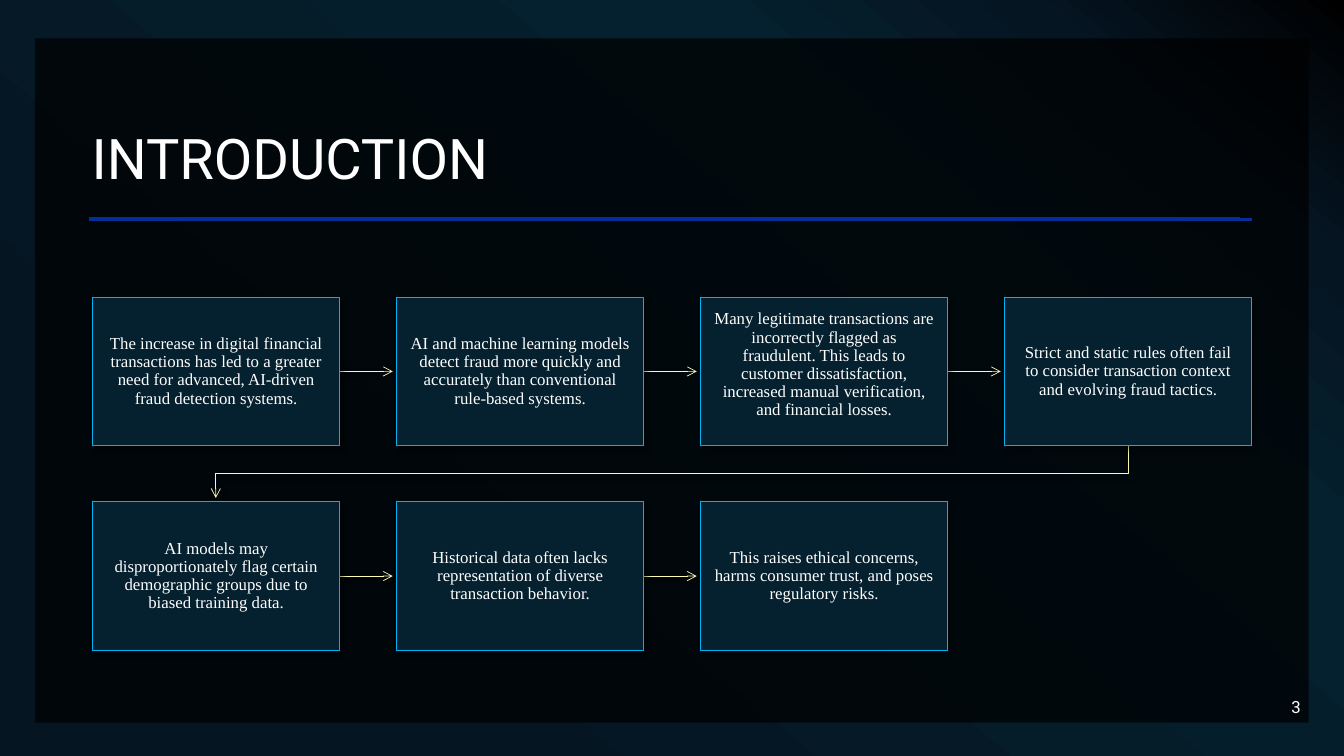
from lxml import etree
from pptx import Presentation
from pptx.dml.color import RGBColor
from pptx.enum.shapes import MSO_CONNECTOR, MSO_SHAPE
from pptx.enum.text import MSO_ANCHOR, PP_ALIGN
from pptx.oxml.ns import qn
from pptx.util import Emu, Pt

RECT, LINE = MSO_SHAPE.RECTANGLE, MSO_CONNECTOR.STRAIGHT
TOP, MID, LOW = MSO_ANCHOR.TOP, MSO_ANCHOR.MIDDLE, MSO_ANCHOR.BOTTOM
LEFT, MIDST, RIGHT = PP_ALIGN.LEFT, PP_ALIGN.CENTER, PP_ALIGN.RIGHT

# Content
TITLE = "INTRODUCTION"
PAGE = "3"
STEPS = [
    ("The increase in digital financial transactions has led to a greater "
     "need for advanced, AI-driven fraud detection systems.", MID),
    ("AI and machine learning models detect fraud more quickly and "
     "accurately than conventional rule-based systems.", MID),
    ("Many legitimate transactions are incorrectly flagged as fraudulent. "
     "This leads to customer dissatisfaction, increased manual "
     "verification, and financial losses.", TOP),
    ("Strict and static rules often fail to consider transaction context "
     "and evolving fraud tactics.", MID),
    ("AI models may disproportionately flag certain demographic groups due "
     "to biased training data.", MID),
    ("Historical data often lacks representation of diverse transaction "
     "behavior.", MID),
    ("This raises ethical concerns, harms consumer trust, and poses "
     "regulatory risks.", MID),
]
COLORS = {"black": "000000", "navy": "051522", "teal": "05202E",
          "rule": "032E9C", "edge": "00B0F0", "arrow": "FDF9AE",
          "text": "FFFFFF"}
BACK = [(0, "black"), (14, "navy"), (29, "teal"), (81, "navy"), (100, "navy")]
SANS, SERIF = "Roboto", "Times New Roman"

# Layout in px, 100 to the inch
PX = 9144
WIDE, HIGH = 1333, 750
COLS = 4
LEFT_X, TOP_Y = 92, 295
BOX_W, BOX_H = 245, 147
STEP_X, STEP_Y = 301.5, 203
GAP = 4  # space between an arrowhead and the next box


def px(n):
    return Emu(round(n * PX))


def rgb(name):
    return RGBColor.from_string(COLORS[name])


def tint(parent, name, alpha=None):
    clr = etree.SubElement(parent, qn("a:srgbClr"), val=COLORS[name])
    if alpha:
        etree.SubElement(clr, qn("a:alpha"), val=str(alpha * 1000))


def effect(shape, shade=True):
    props = shape._element.spPr
    for old in props.findall(qn("a:effectLst")):
        props.remove(old)
    fx = etree.SubElement(props, qn("a:effectLst"))
    if shade:
        cast = etree.SubElement(
            fx, qn("a:outerShdw"), blurRad=str(Pt(4)), dist=str(Pt(3)),
            dir=str(45 * 60000), algn="ctr", rotWithShape="0")
        tint(cast, "black", 40)


def stroke(shape, name, width):
    shape.line.color.rgb = rgb(name)
    shape.line.width = Pt(width)


def arrow(shape):
    stroke(shape, "arrow", 0.5)
    etree.SubElement(shape.line._get_or_add_ln(), qn("a:tailEnd"), type="arrow")
    effect(shape)


def write(shape, text, font, size, align, anchor, pads, space=1.0):
    frame = shape.text_frame
    frame.word_wrap = True
    frame.vertical_anchor = anchor
    (frame.margin_left, frame.margin_top,
     frame.margin_right, frame.margin_bottom) = map(px, pads)
    para = frame.paragraphs[0]
    para.alignment = align
    para.line_spacing = space
    run = para.add_run()
    run.text = text
    run.font.name = font
    run.font.size = Pt(size)
    run.font.color.rgb = rgb("text")


def link(x1, y1, x2, y2):
    return slide.shapes.add_connector(LINE, px(x1), px(y1), px(x2), px(y2))


deck = Presentation()
deck.slide_width, deck.slide_height = px(WIDE), px(HIGH)
slide = deck.slides.add_slide(deck.slide_layouts[6])

# Background
fill = slide.background.fill
fill.gradient()
fill.gradient_angle = 230
stops = slide.element.find(".//" + qn("a:gsLst"))
for old in list(stops):
    stops.remove(old)
for pos, name in BACK:
    tint(etree.SubElement(stops, qn("a:gs"), pos=str(pos * 1000)), name)

# Dark panel
panel = slide.shapes.add_shape(RECT, px(35), px(38), px(1263), px(679))
panel.fill.solid()
panel.fill.fore_color.rgb = rgb("black")
shade = panel._element.spPr.find(qn("a:solidFill"))[0]
etree.SubElement(shade, qn("a:alpha"), val="70000")
panel.line.fill.background()
effect(panel, False)

# Double rule, title and page number
for end, y in ((1242, 218), (1230, 217)):
    rule = link(88, y, end, y)
    stroke(rule, "rule", 2)
    effect(rule, False)
head = slide.shapes.add_textbox(px(91), px(70), px(1150), px(125))
write(head, TITLE, SANS, 40, LEFT, LOW, (0, 5, 10, 5), 0.9)
foot = slide.shapes.add_textbox(px(1000), px(681), px(300), px(40))
write(foot, PAGE, SANS, 12, RIGHT, MID, (10, 5, 10, 5))

# Steps, each with an arrow to the next
for i, (text, anchor) in enumerate(STEPS):
    row, col = divmod(i, COLS)
    x, y = LEFT_X + col * STEP_X, TOP_Y + row * STEP_Y
    if i < len(STEPS) - 1:
        if col < COLS - 1:
            mid = y + BOX_H / 2
            arrow(link(x + BOX_W, mid, x + STEP_X - GAP, mid))
        else:
            start, goal = x + BOX_W / 2, LEFT_X + BOX_W / 2
            base, tip = y + BOX_H, y + STEP_Y - GAP
            turn = y + (BOX_H + STEP_Y) / 2
            path = slide.shapes.build_freeform(start, base, scale=PX)
            path.add_line_segments(
                [(start, turn), (goal, turn), (goal, tip)], close=False)
            bend = path.convert_to_shape()
            bend.fill.background()
            arrow(bend)
    box = slide.shapes.add_shape(RECT, px(x), px(y), px(BOX_W), px(BOX_H))
    box.fill.solid()
    box.fill.fore_color.rgb = rgb("teal")
    stroke(box, "edge", 0.75)
    effect(box)
    write(box, text, SERIF, 12, MIDST, anchor, (12, 13, 12, 13), 0.9)

deck.save("out.pptx")
